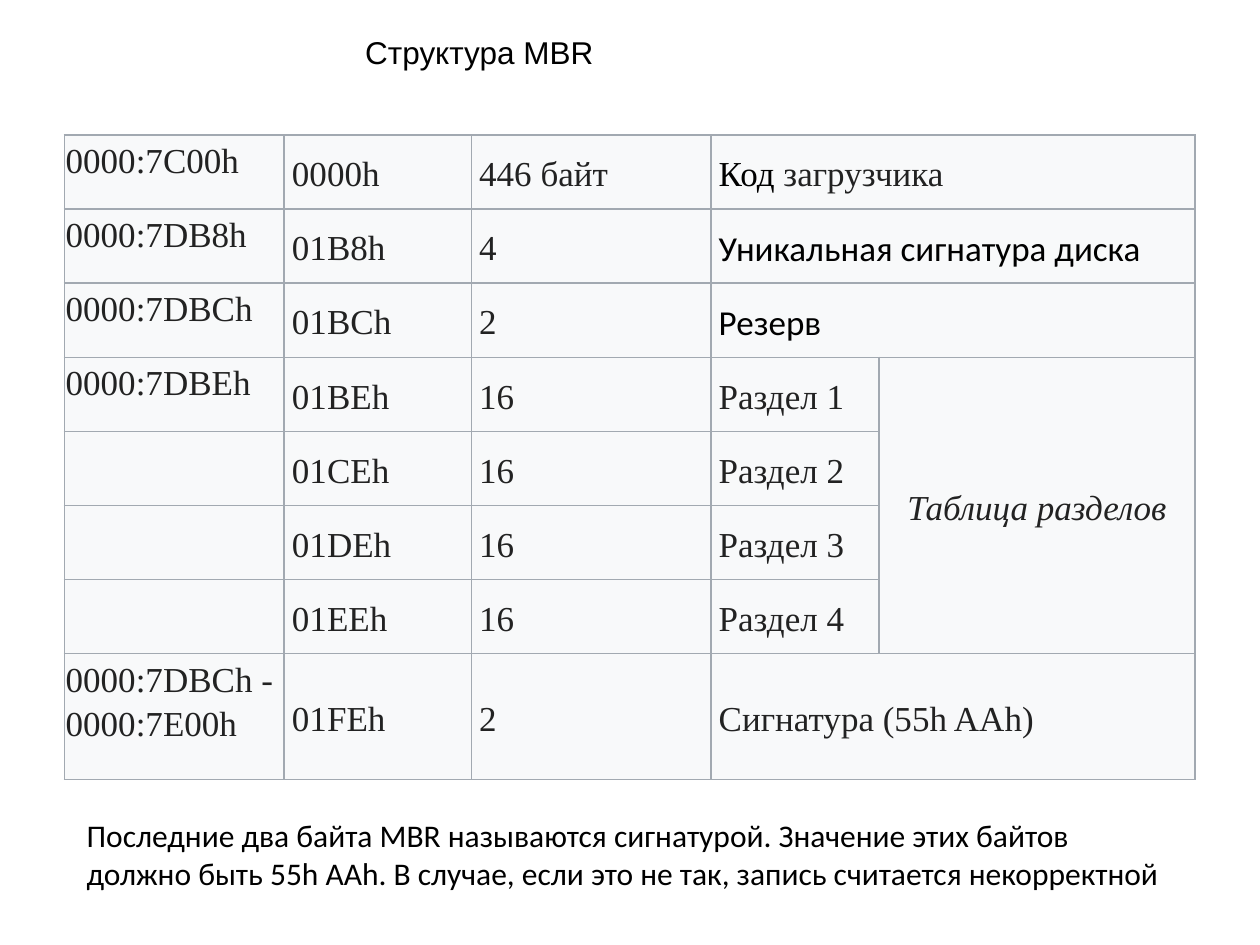
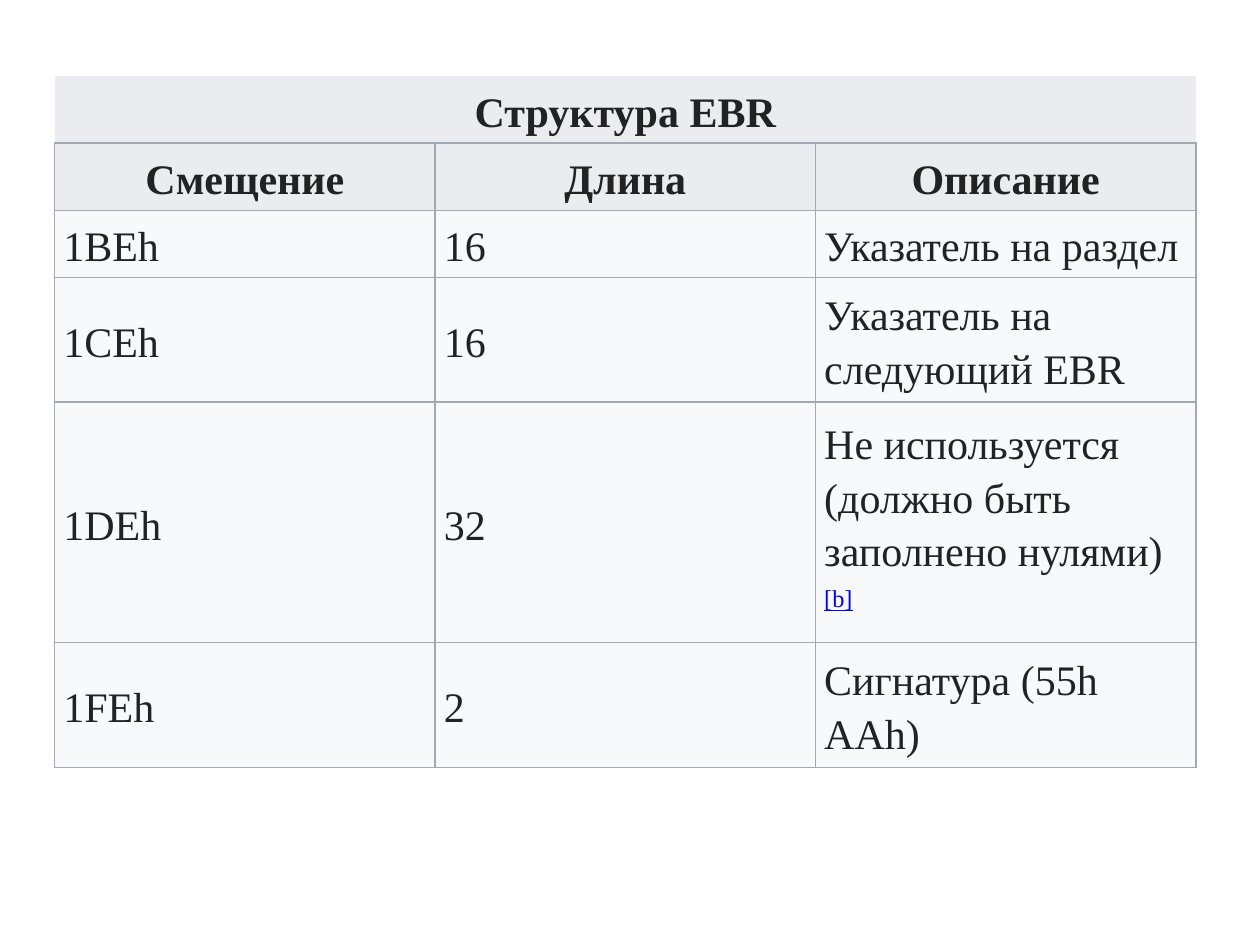
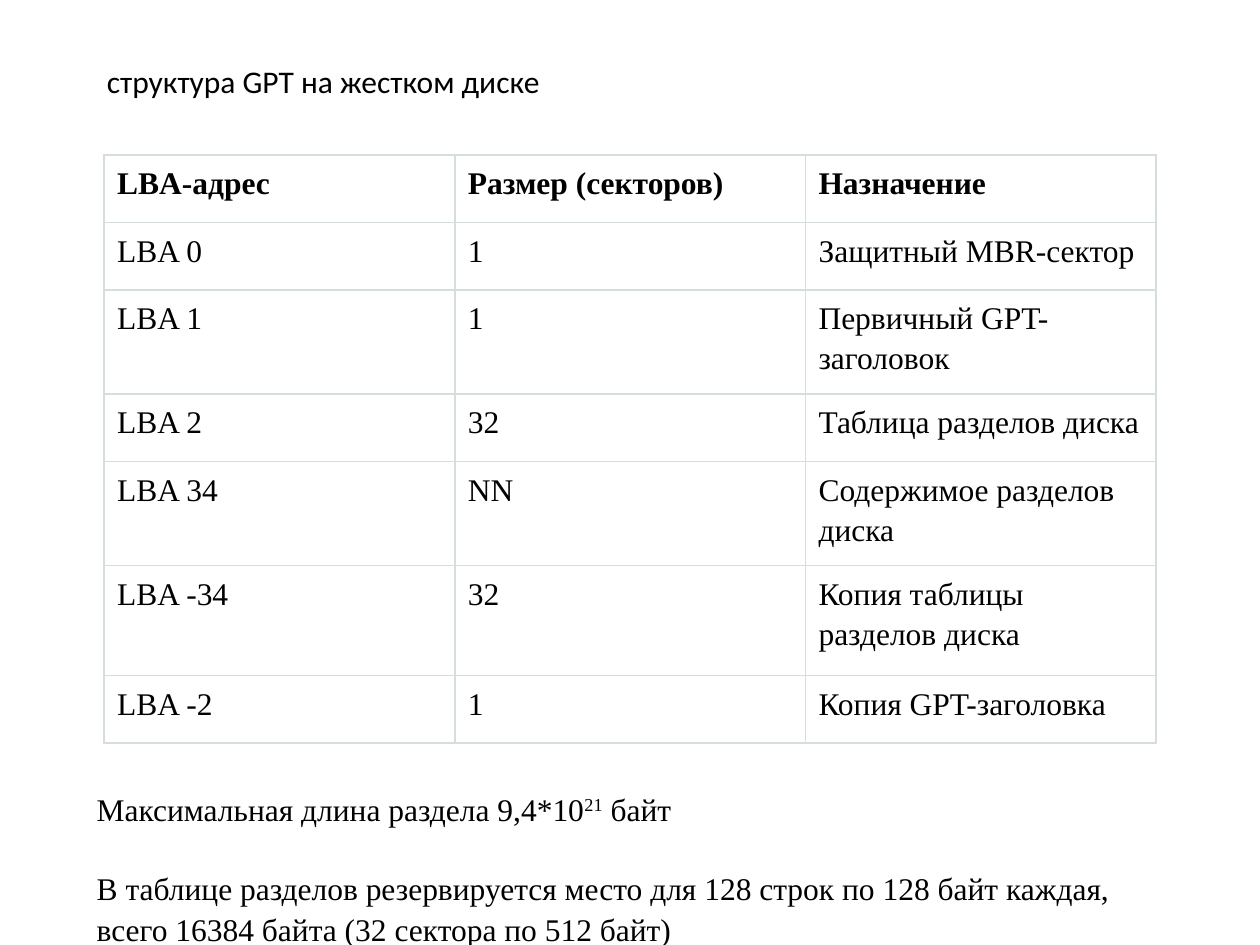
from dataclasses import dataclass, replace

from lxml.etree import SubElement
from pptx import Presentation
from pptx.dml.color import RGBColor
from pptx.enum.text import MSO_ANCHOR, PP_ALIGN
from pptx.oxml.ns import qn
from pptx.util import Pt

BLACK = RGBColor(0x00, 0x00, 0x00)
INK = RGBColor(0x22, 0x22, 0x22)
LINK = RGBColor(0x00, 0x00, 0xFF)
CELL_FILL = RGBColor(0xF8, 0xF9, 0xFA)
HEAD_FILL = RGBColor(0xEA, 0xEC, 0xF0)
GREY_LINE = RGBColor(0xA2, 0xA9, 0xB1)
PALE_LINE = RGBColor(0xD5, 0xDD, 0xDF)
SERIF = "Times New Roman"
LINE_WIDTH = 1
ALL_SIDES = "LRTB"


@dataclass(frozen=True)
class TextStyle:
    size: float = 18
    font: str = "Calibri"
    color: RGBColor = BLACK
    bold: bool = False
    italic: bool = False
    align: PP_ALIGN = PP_ALIGN.LEFT
    line_spacing: float = 1.0


@dataclass(frozen=True)
class Span:
    text: str
    color: RGBColor = None
    underline: bool = None
    superscript: bool = False


@dataclass(frozen=True)
class CellLook:
    text: TextStyle
    insets: tuple  # left, top, right, bottom
    fill: RGBColor = None
    line: RGBColor = GREY_LINE
    sides: str = ALL_SIDES
    anchor: MSO_ANCHOR = MSO_ANCHOR.MIDDLE


BODY = TextStyle()
TABLE_TEXT = TextStyle(20, SERIF, INK, line_spacing=1.15)
MBR_CELL = CellLook(TABLE_TEXT, (4.5, 2.25, 4.5, 2.25), CELL_FILL)
MBR_ADDRESS = replace(MBR_CELL, insets=(0.75,) * 4, anchor=MSO_ANCHOR.TOP)
MBR_PLAIN = replace(MBR_CELL, text=replace(TABLE_TEXT, font="Calibri", color=BLACK))
MBR_GROUP = replace(MBR_CELL, text=replace(TABLE_TEXT, italic=True, align=PP_ALIGN.CENTER))
EBR_CELL = CellLook(replace(TABLE_TEXT, size=24), (5, 2.5, 5, 2.5), CELL_FILL)
EBR_HEAD = replace(EBR_CELL, fill=HEAD_FILL,
                   text=replace(EBR_CELL.text, bold=True, align=PP_ALIGN.CENTER))
EBR_TITLE = replace(EBR_HEAD, sides="B")
GPT_CELL = CellLook(replace(TABLE_TEXT, size=18, color=BLACK), (7.5, 3.75, 7.5, 6),
                    line=PALE_LINE, anchor=MSO_ANCHOR.TOP)
GPT_HEAD = replace(GPT_CELL, text=replace(GPT_CELL.text, bold=True))


def write(para, content, style):
    """Fill a paragraph from a string or from a list of Spans."""
    para.alignment = style.align
    para.line_spacing = style.line_spacing
    font = para.font
    font.name, font.size = style.font, Pt(style.size)
    font.bold, font.italic = style.bold, style.italic
    font.color.rgb = style.color
    spans = [Span(content)] if isinstance(content, str) else content
    for span in spans:
        run = para.add_run()
        run.text = span.text
        if span.color is not None:
            run.font.color.rgb = span.color
        if span.underline:
            run.font.underline = True
        if span.superscript:
            run._r.get_or_add_rPr().set("baseline", "30000")


def add_text(page, box, contents, style=BODY, gap=0):
    """Place paragraphs in a box, with a gap in points between them."""
    frame = page.shapes.add_textbox(*map(Pt, box)).text_frame
    frame.word_wrap = True
    for index, content in enumerate(contents):
        para = frame.add_paragraph() if index else frame.paragraphs[0]
        write(para, content, style)
        if index:
            para.space_before = Pt(gap)


def add_borders(cell, color, sides):
    props = cell._tc.get_or_add_tcPr()
    for side in ALL_SIDES:
        line = SubElement(props, qn(f"a:ln{side}"), w=str(Pt(LINE_WIDTH)))
        if side in sides:
            solid = SubElement(line, qn("a:solidFill"))
            SubElement(solid, qn("a:srgbClr"), val=str(color))
        else:
            SubElement(line, qn("a:noFill"))


def dress_cell(cell, content, look):
    add_borders(cell, look.line, look.sides)
    if look.fill is None:
        cell.fill.background()
    else:
        cell.fill.solid()
        cell.fill.fore_color.rgb = look.fill
    (cell.margin_left, cell.margin_top,
     cell.margin_right, cell.margin_bottom) = map(Pt, look.insets)
    cell.vertical_anchor = look.anchor
    write(cell.text_frame.paragraphs[0], content, look.text)


def add_grid(page, left, top, widths, heights, rows, look_at, merges=()):
    """Draw a table; look_at(row, column) gives each cell's look."""
    frame = page.shapes.add_table(len(heights), len(widths), Pt(left), Pt(top),
                                  Pt(sum(widths)), Pt(sum(heights)))
    table = frame.table
    table.first_row = table.horz_banding = False
    for column, width in zip(table.columns, widths):
        column.width = Pt(width)
    for row, height in zip(table.rows, heights):
        row.height = Pt(height)
    for first, last in merges:
        table.cell(*first).merge(table.cell(*last))
    for r in range(len(heights)):
        for c in range(len(widths)):
            content = rows[r][c] if c < len(rows[r]) else ""
            dress_cell(table.cell(r, c), content, look_at(r, c))


def mbr_look(row, column):
    if column == 0:
        return MBR_ADDRESS
    if column == 3 and row in (1, 2):
        return MBR_PLAIN
    return MBR_GROUP if column == 4 else MBR_CELL


def mbr_slide(page):
    add_text(page, (201.6, 15.1, 181.4, 51), ["Структура MBR"], replace(BODY, font="Arial"))
    rows = [
        ["0000:7C00h", "0000h", "446 байт", [Span("Код", BLACK), Span(" загрузчика")]],
        ["0000:7DB8h", "01B8h", "4", "Уникальная сигнатура диска"],
        ["0000:7DBCh", "01BCh", "2", "Резерв"],
        ["0000:7DBEh", "01BEh", "16", "Раздел 1", "Таблица разделов"],
        ["", "01CEh", "16", "Раздел 2"],
        ["", "01DEh", "16", "Раздел 3"],
        ["", "01EEh", "16", "Раздел 4"],
        ["0000:7DBCh - 0000:7E00h", "01FEh", "2", "Сигнатура (55h AAh)"],
    ]
    merges = [((row, 3), (row, 4)) for row in (0, 1, 2, 7)] + [((3, 4), (6, 4))]
    add_grid(page, 36.8, 77.1, [125.6, 107, 136.9, 96, 180.7], [42.35] * 7 + [72],
             rows, mbr_look, merges)
    add_text(page, (42.5, 463, 629.3, 51), [
        "Последние два байта MBR называются сигнатурой. Значение этих байтов "
        "должно быть 55h AAh. В случае, если это не так, запись считается некорректной"])


def ebr_slide(page):
    rows = [
        ["Структура EBR"],
        ["Смещение", "Длина", "Описание"],
        ["1BEh", "16", "Указатель на раздел"],
        ["1CEh", "16", "Указатель на следующий EBR"],
        ["1DEh", "32", [Span("Не используется (должно быть заполнено нулями) "),
                        Span("[b]", LINK, underline=True, superscript=True)]],
        ["1FEh", "2", "Сигнатура (55h AAh)"],
    ]
    heads = {0: EBR_TITLE, 1: EBR_HEAD}
    add_grid(page, 31.2, 43.4, [217.4] * 3, [38.4] * 3 + [71.2, 137.1, 71.2], rows,
             lambda row, column: heads.get(row, EBR_CELL), [((0, 0), (0, 2))])


def gpt_slide(page):
    rows = [
        ["LBA-адрес", "Размер (секторов)", "Назначение"],
        ["LBA 0", "1", "Защитный MBR-сектор"],
        ["LBA 1", "1", "Первичный GPT-заголовок"],
        ["LBA 2", "32", "Таблица разделов диска"],
        ["LBA 34", "NN", "Содержимое разделов диска"],
        ["LBA -34", "32", "Копия таблицы разделов диска"],
        ["LBA -2", "1", "Копия GPT-заголовка"],
    ]
    one_line, two_lines = 38.6, 59
    heights = [one_line, one_line, two_lines, one_line, two_lines, 63, one_line]
    add_grid(page, 59.5, 88.5, [200.4] * 3, heights, rows,
             lambda row, column: GPT_CELL if row else GPT_HEAD)
    add_text(page, (54, 31.7, 487.4, 29), ["структура GPT на жестком диске"])
    add_text(page, (48.2, 445.7, 635, 108.7), [
        [Span("Максимальная длина раздела 9,4*10"), Span("21", superscript=True),
         Span(" байт")],
        "В таблице разделов резервируется место для 128 строк по 128 байт каждая, "
        "всего 16384 байта (32 сектора по 512 байт)",
    ], replace(BODY, font=SERIF, line_spacing=1.09), gap=21.7)


def main():
    deck = Presentation()
    deck.slide_width, deck.slide_height = Pt(720), Pt(540)
    blank = deck.slide_layouts[6]
    for build in (mbr_slide, ebr_slide, gpt_slide):
        build(deck.slides.add_slide(blank))
    deck.save("out.pptx")


if __name__ == "__main__":
    main()
